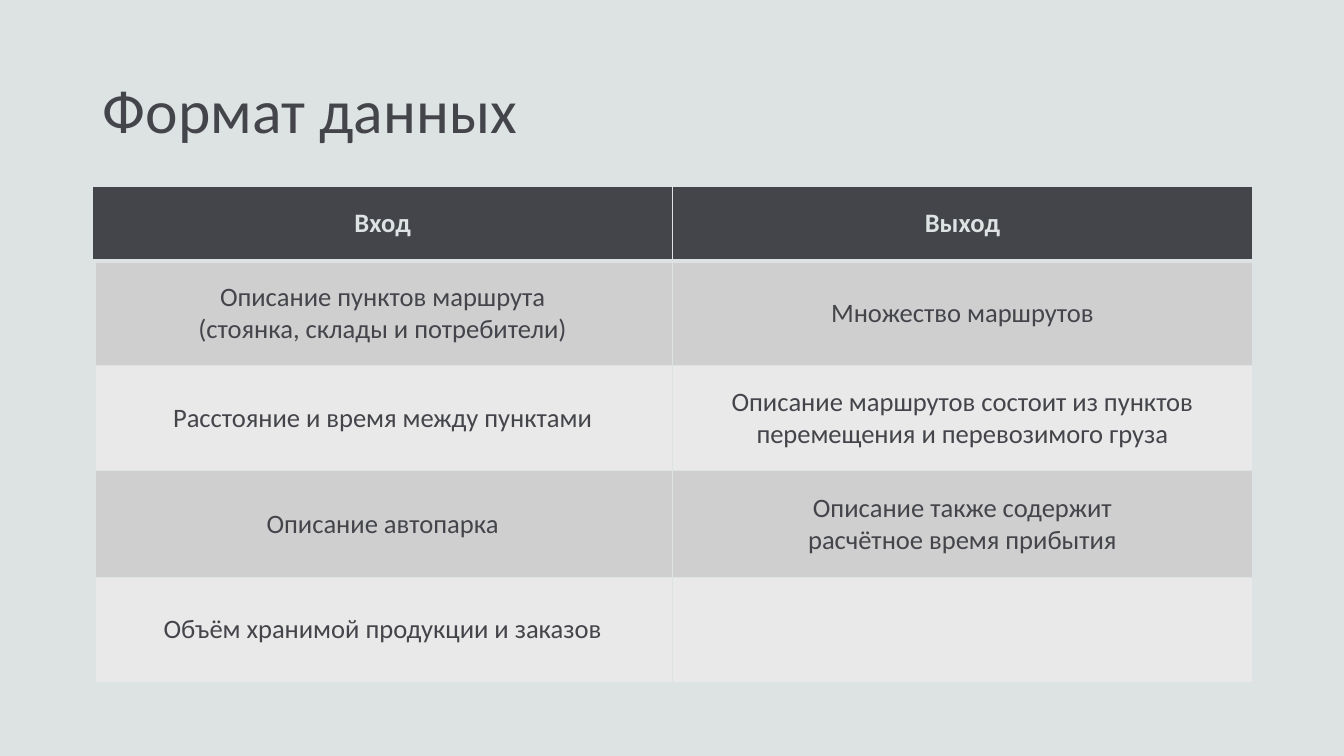
from dataclasses import dataclass

from lxml.etree import SubElement
from pptx import Presentation
from pptx.dml.color import RGBColor
from pptx.enum.text import MSO_ANCHOR as Anchor, PP_ALIGN as Align
from pptx.oxml.ns import qn
from pptx.util import Inches, Pt


@dataclass(frozen=True)
class Theme:
    font: str = "Calibri"
    background: str = "DDE2E3"
    dark: str = "44454A"
    bands: tuple = ("CFCFD0", "E9E9E9")
    title_size: int = 44
    table_size: int = 19
    thin_border: int = 1
    header_border: int = 3
    side_border: int = 6


class SlideBuilder:
    def __init__(self, presentation, theme):
        self.theme = theme
        self.slide = presentation.slides.add_slide(presentation.slide_layouts[5])
        fill = self.slide.background.fill
        fill.solid()
        fill.fore_color.rgb = RGBColor.from_string(theme.background)

    def add_run(self, paragraph, text, size, color, bold=False):
        run = paragraph.add_run()
        run.text = text
        run.font.name = self.theme.font
        run.font.size = Pt(size)
        run.font.bold = bold
        run.font.color.rgb = RGBColor.from_string(color)

    def title(self, text, left, top, width, height):
        shape = self.slide.shapes.title
        shape.left, shape.top = Inches(left), Inches(top)
        shape.width, shape.height = Inches(width), Inches(height)
        frame = shape.text_frame
        frame.word_wrap = True
        frame.vertical_anchor = Anchor.MIDDLE
        paragraph = frame.paragraphs[0]
        paragraph.alignment = Align.LEFT
        paragraph.line_spacing = 0.9
        self.add_run(paragraph, text, self.theme.title_size, self.theme.dark)

    def table(self, rows, left, top, width, row_heights):
        column_count = len(rows[0])
        table = self.slide.shapes.add_table(
            len(rows), column_count, Inches(left), Inches(top),
            Inches(width), Inches(sum(row_heights))).table
        for column in table.columns:
            column.width = Inches(width / column_count)
        for row, height in zip(table.rows, row_heights):
            row.height = Inches(height)
        for row_index, row in enumerate(rows):
            for column_index, lines in enumerate(row):
                cell = table.cell(row_index, column_index)
                self.cell(cell, lines, row_index, column_index)

    def cell(self, cell, lines, row_index, column_index):
        theme = self.theme
        is_header = row_index == 0
        cell.vertical_anchor = Anchor.MIDDLE
        cell.margin_left = cell.margin_right = Inches(0.11)
        cell.margin_top = cell.margin_bottom = Inches(0.05)
        frame = cell.text_frame
        for index, line in enumerate(lines):
            paragraph = frame.add_paragraph() if index else frame.paragraphs[0]
            paragraph.alignment = Align.CENTER
            color = theme.background if is_header else theme.dark
            self.add_run(paragraph, line, theme.table_size, color, is_header)
        is_side = column_index == 0 and not is_header
        self.borders(cell, {
            "a:lnL": theme.side_border if is_side else theme.thin_border,
            "a:lnR": theme.thin_border,
            "a:lnT": theme.header_border if row_index == 1 else theme.thin_border,
            "a:lnB": theme.header_border if is_header else theme.thin_border,
        })
        cell.fill.solid()
        fill_color = theme.dark if is_header else theme.bands[(row_index - 1) % 2]
        cell.fill.fore_color.rgb = RGBColor.from_string(fill_color)

    def borders(self, cell, widths):
        properties = cell._tc.get_or_add_tcPr()
        for tag, width in widths.items():
            line = SubElement(properties, qn(tag), w=str(Pt(width)))
            fill = SubElement(line, qn("a:solidFill"))
            SubElement(fill, qn("a:srgbClr"), val=self.theme.background)


def main():
    presentation = Presentation()
    presentation.slide_width = Inches(13.33)
    presentation.slide_height = Inches(7.5)
    builder = SlideBuilder(presentation, Theme())
    left, width = 0.92, 11.5
    builder.title("Формат данных", left, 0.4, width, 1.45)
    rows = [
        (["Вход"], ["Выход"]),
        (["Описание пунктов маршрута", "(стоянка, склады и потребители)"],
         ["Множество маршрутов"]),
        (["Расстояние и время между пунктами"],
         ["Описание маршрутов состоит из пунктов перемещения и перевозимого груза"]),
        (["Описание автопарка"],
         ["Описание также содержит", "расчётное время прибытия"]),
        (["Объём хранимой продукции и заказов"], []),
    ]
    builder.table(rows, left, 1.85, width, [0.74, 1.04, 1.04, 1.06, 1.04])
    presentation.save("out.pptx")


if __name__ == "__main__":
    main()
